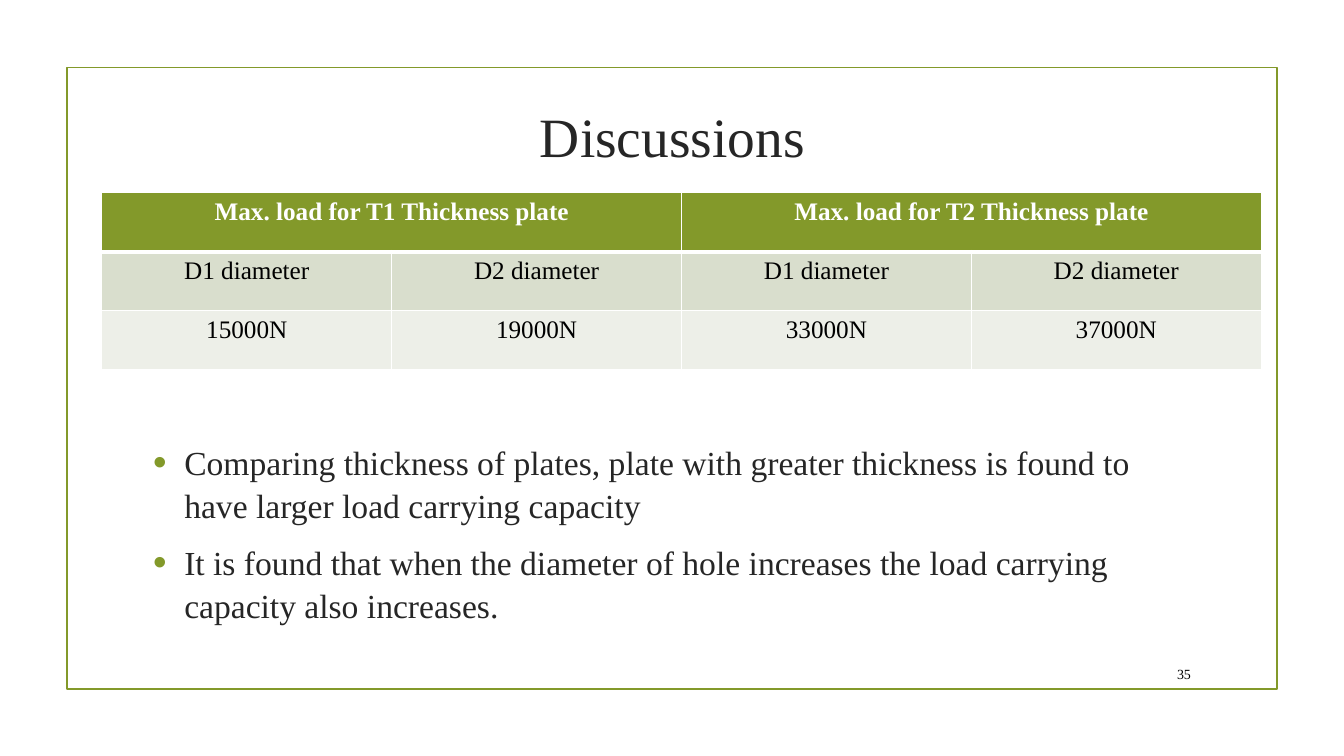
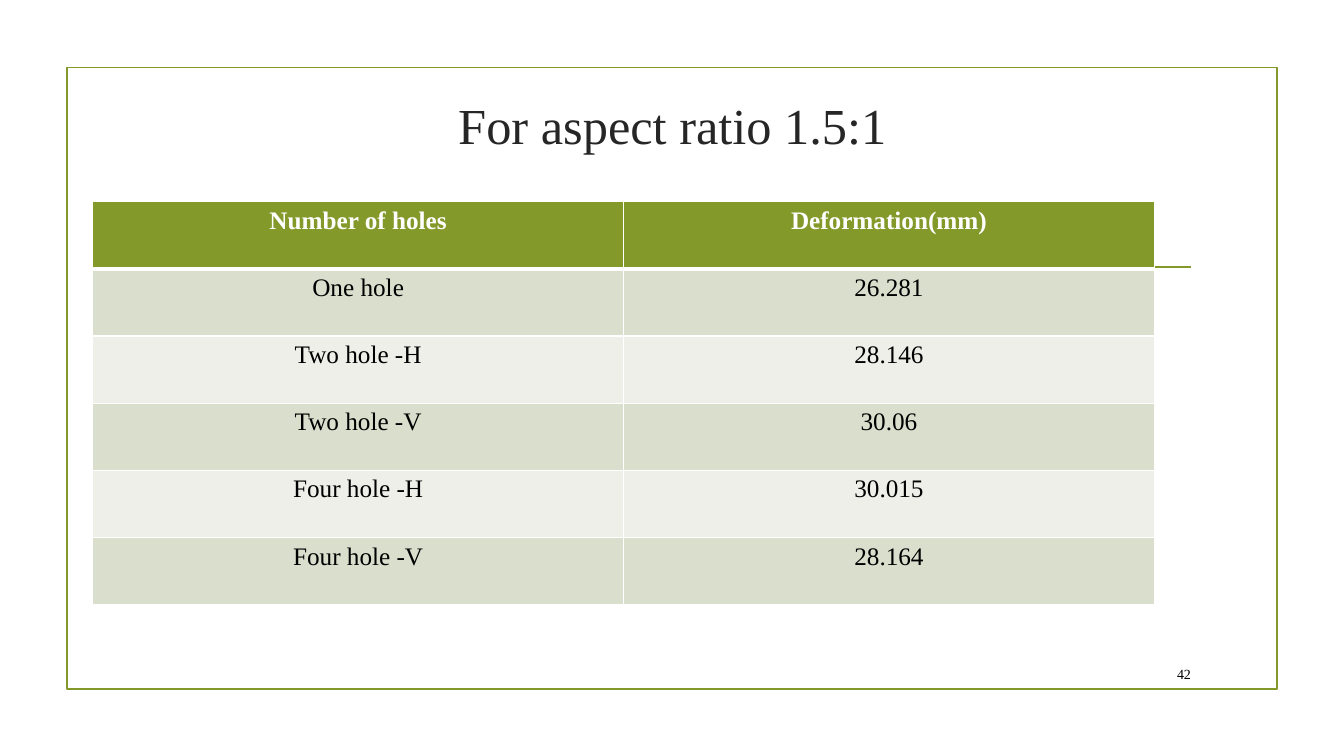
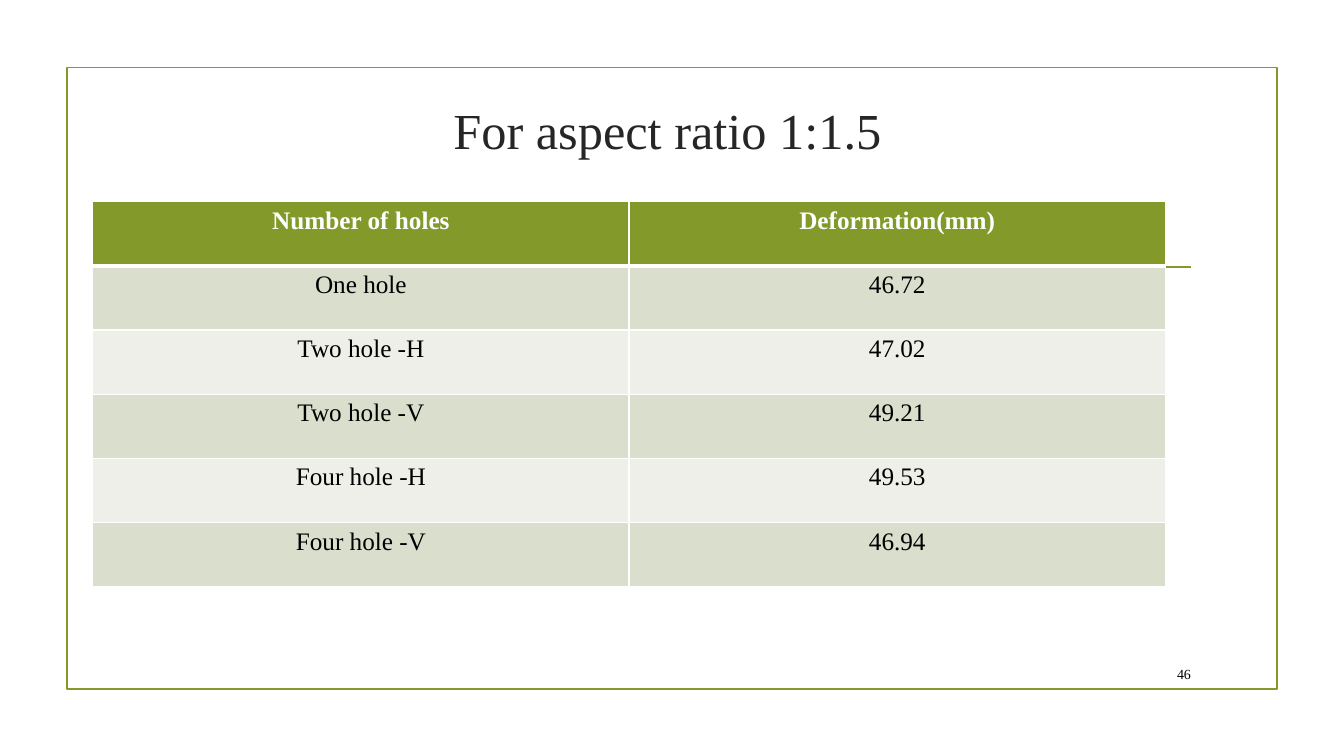
from lxml import etree
from pptx import Presentation
from pptx import util as u
from pptx.dml.color import RGBColor
from pptx.enum import shapes, text
from pptx.oxml import ns

hue = RGBColor.from_string
OLIVE, INK, BLACK, WHITE = "83992A", "262626", "000000", "FFFFFF"
BANDS = "EDEFE8", "D9DECD"
FACE = "Times New Roman"
CENTER, RIGHT, LEFT = text.PP_ALIGN.CENTER, text.PP_ALIGN.RIGHT, text.PP_ALIGN.LEFT

deck = Presentation()
deck.slide_width, deck.slide_height = u.Inches(13.33), u.Inches(7.5)


def place(left, top, width, height):
    across, down = deck.slide_width / 100, deck.slide_height / 100
    return int(left * across), int(top * down), int(width * across), int(height * down)


def write(paragraph, words, size, color, align, bold=False):
    paragraph.alignment = align
    run = paragraph.add_run()
    run.text = words
    run.font.name, run.font.size, run.font.bold = FACE, u.Pt(size), bold
    run.font.color.rgb = hue(color)


HOLES = ["One hole", "Two hole -H", "Two hole -V", "Four hole -H", "Four hole -V"]
HEADS = ["Number of holes", "Deformation(mm)"]
wide = [26.281, 28.146, 30.06, 30.015, 28.164]
tall = [46.72, 47.02, 49.21, 49.53, 46.94]
loads = [
    ["Max. load for T1 Thickness plate", None, "Max. load for T2 Thickness plate", None],
    ["D1 diameter", "D2 diameter"] * 2,
    ["15000N", "19000N", "33000N", "37000N"],
]
findings = [
    "Comparing thickness of plates, plate with greater thickness is found to have larger load carrying capacity",
    "It is found that when the diameter of hole increases the load carrying capacity also increases.",
]
pages = [
    ("Discussions", 39.6, (10.65, 14.27, 78.77, 7.33), "35",
     loads, (7.58, 25.47, 86.27, 23.47), findings),
    ("For aspect ratio 1.5:1", 36, (6.9, 10.93, 86.27, 10.93), "42",
     [HEADS, *zip(HOLES, map(str, wide))], (6.9, 26.67, 79, 53.33), []),
    ("For aspect ratio 1:1.5", 36, (6.53, 11.87, 86.27, 10.53), "46",
     [HEADS, *zip(HOLES, map(str, tall))], (6.9, 26.67, 79.82, 50.93), []),
]

for title, title_size, title_area, number, rows, grid_area, points in pages:
    slide = deck.slides.add_slide(deck.slide_layouts[6])

    frame = slide.shapes.add_shape(shapes.MSO_SHAPE.RECTANGLE, *place(5, 8.93, 90, 82.27))
    frame.shadow.inherit = False
    frame.fill.background()
    start, level, length, _ = place(11.48, 35.33, 77.12, 0)
    rule = slide.shapes.add_connector(
        shapes.MSO_CONNECTOR.STRAIGHT, start, level, start + length, level)
    for outline in (frame.line, rule.line):
        outline.color.rgb = hue(OLIVE)
        outline.width = u.Pt(1.25)
    etree.SubElement(rule._element.spPr, ns.qn("a:effectLst"))

    for words, size, color, align, area in (
        (title, title_size, INK, CENTER, title_area),
        (number, 10, BLACK, RIGHT, (84.92, 87.07, 4.43, 4.13)),
    ):
        label = slide.shapes.add_textbox(*place(*area)).text_frame
        label.word_wrap = True
        label.vertical_anchor = text.MSO_ANCHOR.MIDDLE
        write(label.paragraphs[0], words, size, color, align)

    if points:
        body = slide.shapes.add_textbox(*place(10.65, 57.6, 78.77, 28)).text_frame
        body.word_wrap = True
    for order, point in enumerate(points):
        item = body.add_paragraph() if order else body.paragraphs[0]
        props = item._p.get_or_add_pPr()
        props.set("marL", str(u.Inches(0.31)))
        props.set("indent", str(-u.Inches(0.31)))
        tint = etree.SubElement(props, ns.qn("a:buClr"))
        etree.SubElement(tint, ns.qn("a:srgbClr"), val=OLIVE)
        etree.SubElement(props, ns.qn("a:buSzPct"), val="115000")
        etree.SubElement(props, ns.qn("a:buFont"), typeface="Arial")
        etree.SubElement(props, ns.qn("a:buChar"), char="•")
        item.line_spacing = 1.05
        item.space_before = u.Pt(4.8 if order else 0)
        item.space_after = u.Pt(6)
        write(item, point, 24, INK, LEFT)

    grid = slide.shapes.add_table(len(rows), len(rows[0]), *place(*grid_area)).table
    for r, row in enumerate(rows):
        for c, words in enumerate(row):
            cell = grid.cell(r, c)
            for side in "LRTB":
                thick = (r, side) in ((0, "B"), (1, "T"))
                edge = etree.SubElement(cell._tc.get_or_add_tcPr(), ns.qn("a:ln" + side),
                                        w=str(u.Pt(3 if thick else 1)))
                paint = etree.SubElement(edge, ns.qn("a:solidFill"))
                etree.SubElement(paint, ns.qn("a:srgbClr"), val=WHITE)
            cell.fill.solid()
            cell.fill.fore_color.rgb = hue(BANDS[r % 2] if r else OLIVE)
            if words is None:
                grid.cell(r, c - 1).merge(cell)
            else:
                write(cell.text_frame.paragraphs[0], words, 18,
                      BLACK if r else WHITE, CENTER, r == 0)

deck.save("out.pptx")
